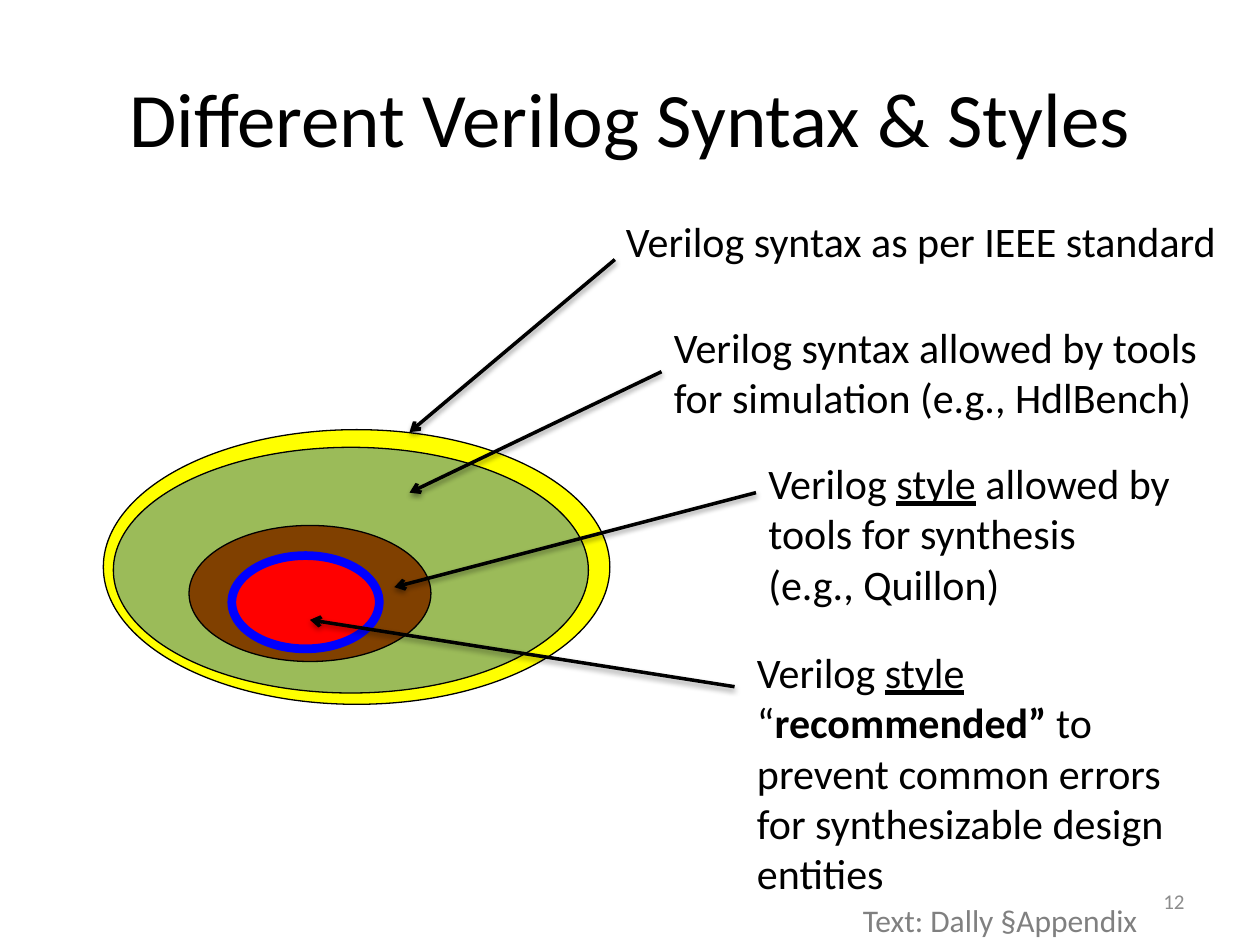
"""Build the slide on Verilog syntax and styles."""
from dataclasses import dataclass

from lxml.etree import SubElement
from pptx import Presentation
from pptx.dml.color import RGBColor
from pptx.enum.shapes import MSO_CONNECTOR, MSO_SHAPE
from pptx.enum.text import MSO_ANCHOR, PP_ALIGN
from pptx.oxml.ns import qn
from pptx.util import Inches, Pt


@dataclass(frozen=True)
class Theme:
    """Colours, font and sizes of the slide."""
    font: str = "Calibri"
    ink: str = "000000"
    footer: str = "808080"
    number: str = "8C8C8C"
    standard: str = "FFFF00"
    simulation: str = "9BBB59"
    synthesis: str = "804000"
    recommended: str = "FF0000"
    highlight: str = "0000FF"
    title_size: int = 44
    label_size: int = 24
    footer_size: int = 18
    number_size: int = 12
    outline: float = 0.75
    thick_outline: float = 5
    arrow: float = 2


THEME = Theme()
UNDERLINE = {"underline": True}
BOLD = {"bold": True}


def set_values(target, values):
    """Set each named attribute of the target."""
    for name, value in values.items():
        setattr(target, name, value)


def add_ellipse(slide, box, fill, line=THEME.ink, width=THEME.outline):
    """Add one filled and outlined ellipse."""
    shape = slide.shapes.add_shape(MSO_SHAPE.OVAL, *map(Inches, box))
    shape.shadow.inherit = False
    shape.fill.solid()
    shape.fill.fore_color.rgb = RGBColor.from_string(fill)
    shape.line.color.rgb = RGBColor.from_string(line)
    shape.line.width = Pt(width)


def add_text(slide, box, lines, size=THEME.label_size, color=THEME.ink,
             align=PP_ALIGN.LEFT, anchor=MSO_ANCHOR.TOP):
    """Add a text box whose lines are lists of (text, format) runs."""
    frame = slide.shapes.add_textbox(*map(Inches, box)).text_frame
    set_values(frame, {"word_wrap": True, "vertical_anchor": anchor})
    for index, runs in enumerate(lines):
        paragraph = frame.add_paragraph() if index else frame.paragraphs[0]
        paragraph.alignment = align
        for text, run_format in runs:
            run = paragraph.add_run()
            run.text = text
            set_values(run.font, {"name": THEME.font, "size": Pt(size), **run_format})
            run.font.color.rgb = RGBColor.from_string(color)


def add_arrow(slide, start, end):
    """Add a straight arrow with a soft shadow below it."""
    connector = slide.shapes.add_connector(
        MSO_CONNECTOR.STRAIGHT, *map(Inches, start + end))
    connector.line.color.rgb = RGBColor.from_string(THEME.ink)
    connector.line.width = Pt(THEME.arrow)
    properties = connector._element.spPr
    SubElement(properties.find(qn("a:ln")), qn("a:tailEnd"), type="arrow")
    effects = SubElement(properties, qn("a:effectLst"))
    shadow = SubElement(effects, qn("a:outerShdw"), blurRad=str(Pt(3.1)),
                        dist=str(Pt(1.6)), dir="5400000", rotWithShape="0")
    color = SubElement(shadow, qn("a:srgbClr"), val=THEME.ink)
    SubElement(color, qn("a:alpha"), val="38000")


def add_ellipses(slide):
    """Add the nested sets from the widest to the narrowest."""
    add_ellipse(slide, (0.82, 3.41, 4.02, 2.18), THEME.standard)
    add_ellipse(slide, (0.9, 3.55, 3.77, 1.95), THEME.simulation)
    add_ellipse(slide, (1.5, 4.17, 1.92, 1.08), THEME.synthesis)
    add_ellipse(slide, (1.84, 4.41, 1.17, 0.74), THEME.recommended,
                THEME.highlight, THEME.thick_outline)


def add_callouts(slide):
    """Add each label with the arrow to its set."""
    callouts = [
        ((4.87, 1.66, 5.1, 0.59), (4.88, 2.06), (3.25, 3.43),
         [[("Verilog syntax as per IEEE standard", {})]]),
        ((5.25, 2.5, 4.43, 0.91), (5.25, 2.95), (3.25, 3.91),
         [[("Verilog syntax allowed by tools", {})],
          [("for simulation (e.g., HdlBench)", {})]]),
        ((6, 3.58, 3.49, 1.31), (6, 3.91), (3.13, 4.66),
         [[("Verilog ", {}), ("style", UNDERLINE), (" allowed by", {})],
          [("tools for synthesis", {})],
          [("(e.g., Quillon)", {})]]),
        ((5.91, 5.08, 3.67, 2.12), (5.83, 5.45), (2.46, 4.92),
         [[("Verilog ", {}), ("style", UNDERLINE), (" “", {}),
           ("recommended” ", BOLD),
           ("to prevent common errors for synthesizable design entities", {})]]),
    ]
    for box, start, end, lines in callouts:
        add_text(slide, box, lines)
        add_arrow(slide, start, end)


def main():
    """Build and save the presentation."""
    presentation = Presentation()
    set_values(presentation, {"slide_width": Inches(10), "slide_height": Inches(7.5)})
    slide = presentation.slides.add_slide(presentation.slide_layouts[6])
    add_text(slide, (0.5, 0.3, 9, 1.25), [[("Different Verilog Syntax & Styles", {})]],
             THEME.title_size, align=PP_ALIGN.CENTER, anchor=MSO_ANCHOR.MIDDLE)
    add_ellipses(slide)
    add_callouts(slide)
    add_text(slide, (6.75, 7.1, 2.42, 0.4), [[("Text: Dally §Appendix", {})]],
             THEME.footer_size, THEME.footer)
    add_text(slide, (7.17, 6.95, 2.33, 0.4), [[("12", {})]], THEME.number_size,
             THEME.number, PP_ALIGN.RIGHT, MSO_ANCHOR.MIDDLE)
    presentation.save("out.pptx")


if __name__ == "__main__":
    main()
